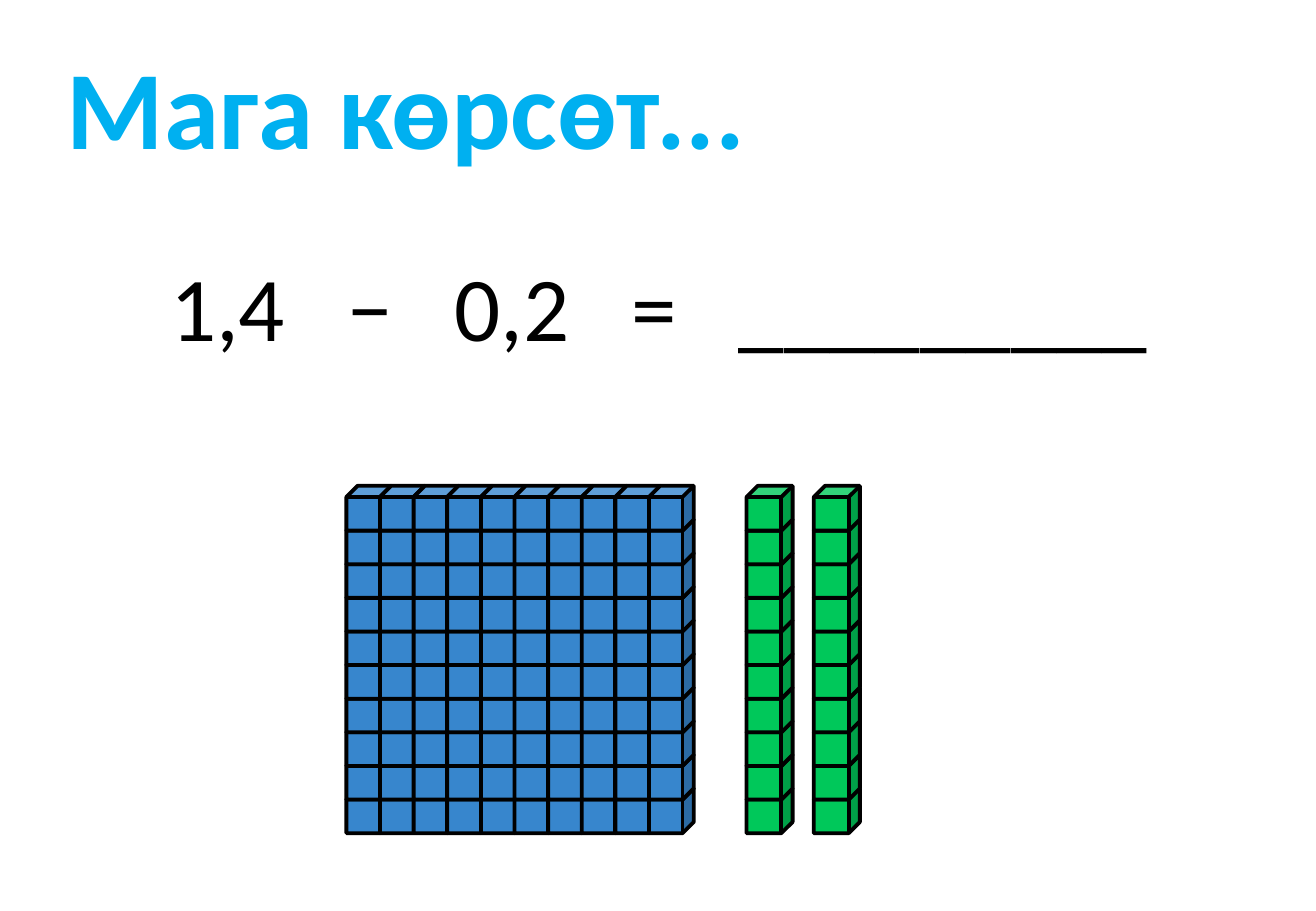
from lxml.etree import SubElement
from pptx import Presentation
from pptx.dml.color import RGBColor
from pptx.enum.shapes import MSO_SHAPE
from pptx.enum.text import MSO_ANCHOR, MSO_AUTO_SIZE, PP_ALIGN
from pptx.oxml.ns import qn
from pptx.util import Inches, Pt

SLIDE_WIDTH, SLIDE_HEIGHT = Inches(10.83), Inches(7.5)

BLACK = RGBColor(0x00, 0x00, 0x00)
SKY_BLUE = RGBColor(0x00, 0xB0, 0xF0)
BLOCK_BLUE = RGBColor(0x37, 0x86, 0xCD)
BLOCK_GREEN = RGBColor(0x00, 0xC8, 0x5A)

TITLE_FONT = {"name": "Calibri", "size": Pt(66), "bold": True}
EQUATION_FONT = {"name": "Calibri", "size": Pt(54), "bold": False}

EQUATION_PARTS = ["1,4", "−", "0,2", "=", "_" * 9]
EQUATION_TABS = [1.46, 2.34, 3.80, 4.68]

GRID_LEFT = SLIDE_WIDTH * 0.2632
GRID_TOP = SLIDE_HEIGHT * 0.5333
PITCH = SLIDE_HEIGHT * 0.0369
CUBE_HEIGHT = PITCH * 4 / 3
ROWS = 10

# start column, number of columns, cube width in columns, colour
BLOCKS = [
    (0, 10, 1.33, BLOCK_BLUE),
    (11.9, 1, 1.37, BLOCK_GREEN),
    (13.9, 1, 1.37, BLOCK_GREEN),
]


def place(shape, left, top, width, height):
    """Position a shape by percentages of the slide's size."""
    shape.left, shape.width = (round(SLIDE_WIDTH * share / 100) for share in (left, width))
    shape.top, shape.height = (round(SLIDE_HEIGHT * share / 100) for share in (top, height))


def write_line(shape, text, font_format, color, left_margin, tabs=()):
    """Write one left-aligned line, with tab stops in inches."""
    frame = shape.text_frame
    frame_format = {
        "word_wrap": True,
        "auto_size": MSO_AUTO_SIZE.NONE,
        "vertical_anchor": MSO_ANCHOR.TOP,
        "margin_left": Inches(left_margin),
    }
    for name, value in frame_format.items():
        setattr(frame, name, value)
    paragraph = frame.paragraphs[0]
    paragraph.alignment = PP_ALIGN.LEFT
    if tabs:
        properties = paragraph._p.get_or_add_pPr()
        tab_list = SubElement(properties, qn("a:tabLst"))
        for position in tabs:
            SubElement(tab_list, qn("a:tab"), pos=str(Inches(position)), algn="l")
    run = paragraph.add_run()
    run.text = text
    for name, value in font_format.items():
        setattr(run.font, name, value)
    run.font.color.rgb = color


def add_cube(group, column, row, columns_wide, color):
    cube = group.shapes.add_shape(
        MSO_SHAPE.CUBE,
        round(GRID_LEFT + column * PITCH),
        round(GRID_TOP + row * PITCH),
        round(columns_wide * PITCH),
        round(CUBE_HEIGHT),
    )
    cube.shadow.inherit = False
    cube.fill.solid()
    cube.fill.fore_color.rgb = color
    cube.line.color.rgb = BLACK
    cube.line.width = Pt(2.25)


def add_block(slide, start_column, columns, columns_wide, color):
    """Stack cubes from the bottom up, column by column, in one group."""
    group = slide.shapes.add_group_shape()
    for column in range(columns):
        for row in reversed(range(ROWS)):
            add_cube(group, start_column + column, row, columns_wide, color)


def main():
    presentation = Presentation()
    presentation.slide_width = SLIDE_WIDTH
    presentation.slide_height = SLIDE_HEIGHT
    slide = presentation.slides.add_slide(presentation.slide_layouts.get_by_name("Title Only"))

    title = slide.shapes.title
    place(title, 2.22, 3.47, 69.62, 16.13)
    write_line(title, "Мага көрсөт...", TITLE_FONT, SKY_BLUE, 0.31)

    equation = slide.shapes.add_textbox(0, 0, 0, 0)
    place(equation, 11.54, 26.8, 76.92, 13.47)
    write_line(equation, "\t".join(EQUATION_PARTS), EQUATION_FONT, BLACK, 0.15, EQUATION_TABS)

    for block in BLOCKS:
        add_block(slide, *block)

    presentation.save("out.pptx")


if __name__ == "__main__":
    main()
